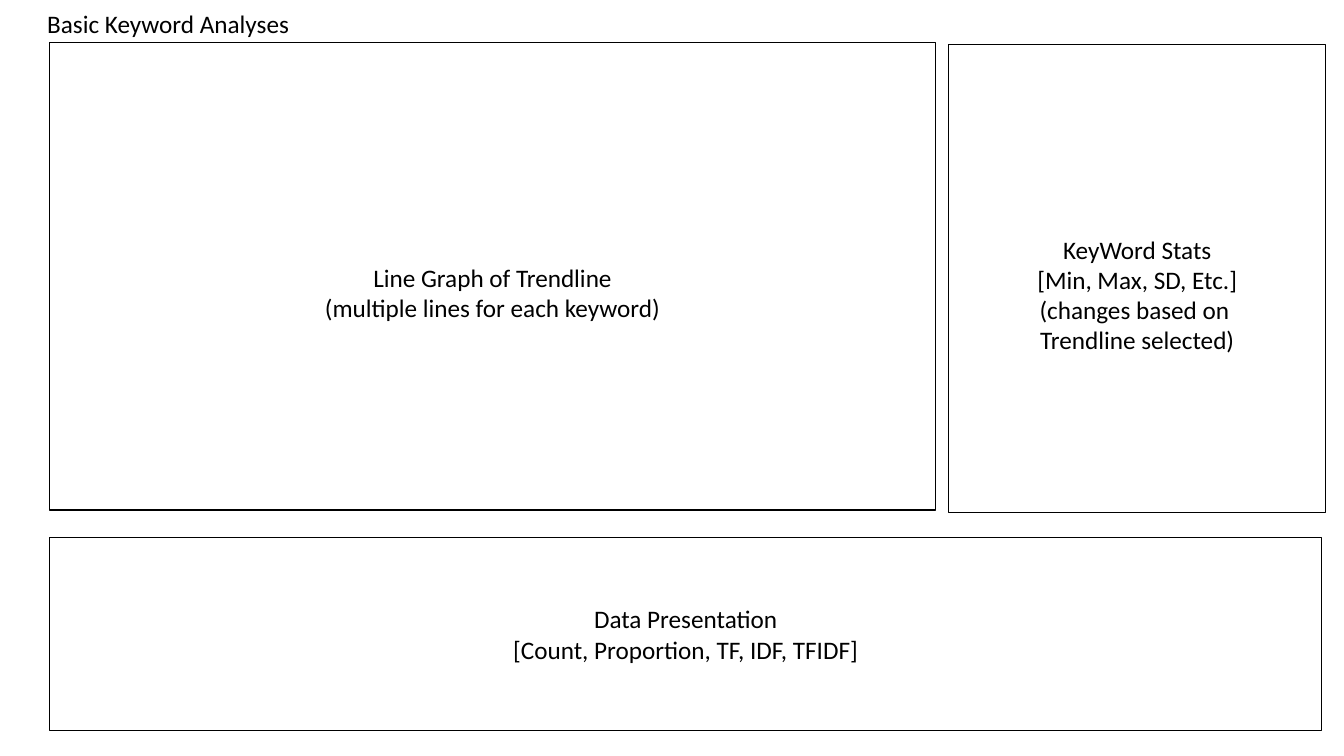
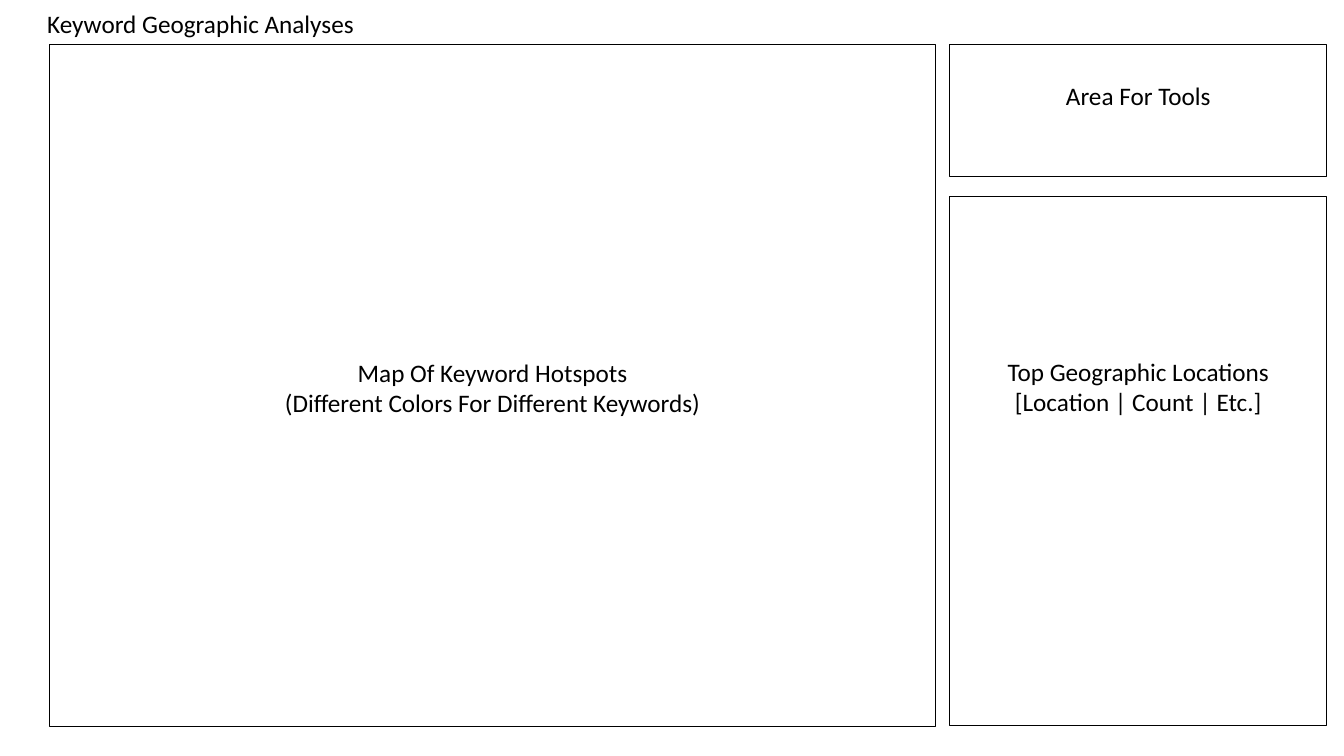
from dataclasses import dataclass

from pptx import Presentation
from pptx.dml.color import RGBColor
from pptx.enum.shapes import MSO_SHAPE
from pptx.enum.text import MSO_ANCHOR, MSO_AUTO_SIZE, PP_ALIGN
from pptx.shapes.autoshape import Shape
from pptx.slide import Slide
from pptx.util import Inches, Pt

FONT_NAME = "Calibri"
FONT_SIZE = 18
INK = "000000"
LINE_WIDTH = 0.75
LEFT_COLUMN = 0.49
MAIN_WIDTH = 8.79
SIDE_WIDTH = 3.74
TOP_ROW = 0.44


@dataclass(frozen=True)
class Panel:
    """An outlined area; text_top is the space above its first line."""

    left: float
    top: float
    width: float
    height: float
    text_top: float
    lines: tuple[str, ...]


@dataclass(frozen=True)
class Page:
    """One slide: its title, the title's width and its panels."""

    title: str
    title_width: float
    panels: tuple[Panel, ...]


PAGES = (
    Page("Basic Keyword Analyses", 2.63, (
        Panel(LEFT_COLUMN, 0.42, MAIN_WIDTH, 4.64, 2.18,
              ("Line Graph of Trendline", "(multiple lines for each keyword)")),
        Panel(LEFT_COLUMN, 5.33, 12.62, 1.92, 0.66,
              ("Data Presentation", "[Count, Proportion, TF, IDF, TFIDF]")),
        Panel(9.41, TOP_ROW, SIDE_WIDTH, 4.64, 1.88,
              ("KeyWord Stats", "[Min, Max, SD, Etc.]",
               "(changes based on ", "Trendline selected)")),
    )),
    Page("Keyword Geographic Analyses", 3.28, (
        Panel(LEFT_COLUMN, TOP_ROW, MAIN_WIDTH, 6.77, 3.1,
              ("Map Of Keyword Hotspots",
               "(Different Colors For Different Keywords)")),
        Panel(9.42, 1.95, SIDE_WIDTH, 5.25, 1.58,
              ("Top Geographic Locations", "[Location | Count | Etc.]")),
        Panel(9.42, TOP_ROW, SIDE_WIDTH, 1.31, 0.36, ("Area For Tools",)),
    )),
)


def color(value: str) -> RGBColor:
    """Turn a hex string into a colour."""
    return RGBColor.from_string(value)


def write_text(shape: Shape, lines: tuple[str, ...], *,
               alignment: PP_ALIGN = PP_ALIGN.LEFT,
               text_top: float = 0.05, wrap: bool = True) -> None:
    """Write one paragraph per line, starting text_top below the top edge."""
    frame = shape.text_frame
    frame.word_wrap = wrap
    frame.auto_size = MSO_AUTO_SIZE.SHAPE_TO_FIT_TEXT if not wrap else MSO_AUTO_SIZE.NONE
    frame.vertical_anchor = MSO_ANCHOR.TOP
    frame.margin_top = Inches(text_top)
    frame.text = "\n".join(lines)
    for paragraph in frame.paragraphs:
        paragraph.alignment = alignment
        for run in paragraph.runs:
            run.font.name = FONT_NAME
            run.font.size = Pt(FONT_SIZE)
            run.font.color.rgb = color(INK)


def draw_panel(slide: Slide, panel: Panel) -> None:
    """Draw an unfilled outlined rectangle with centred text."""
    shape = slide.shapes.add_shape(
        MSO_SHAPE.RECTANGLE, Inches(panel.left), Inches(panel.top),
        Inches(panel.width), Inches(panel.height))
    shape.shadow.inherit = False
    shape.fill.background()
    shape.line.color.rgb = color(INK)
    shape.line.width = Pt(LINE_WIDTH)
    write_text(shape, panel.lines, alignment=PP_ALIGN.CENTER,
               text_top=panel.text_top)


def draw_title(slide: Slide, title: str, width: float) -> None:
    """Place the page title above the panels."""
    box = slide.shapes.add_textbox(
        Inches(0.37), Inches(0.03), Inches(width), Inches(0.4))
    write_text(box, (title,), wrap=False)


def main() -> None:
    """Build and save the presentation."""
    presentation = Presentation()
    presentation.slide_width = Inches(13.33)
    presentation.slide_height = Inches(7.5)
    blank_layout = presentation.slide_layouts[6]
    for page in PAGES:
        slide = presentation.slides.add_slide(blank_layout)
        for panel in page.panels:
            draw_panel(slide, panel)
        draw_title(slide, page.title, page.title_width)
    presentation.save("out.pptx")


main()
